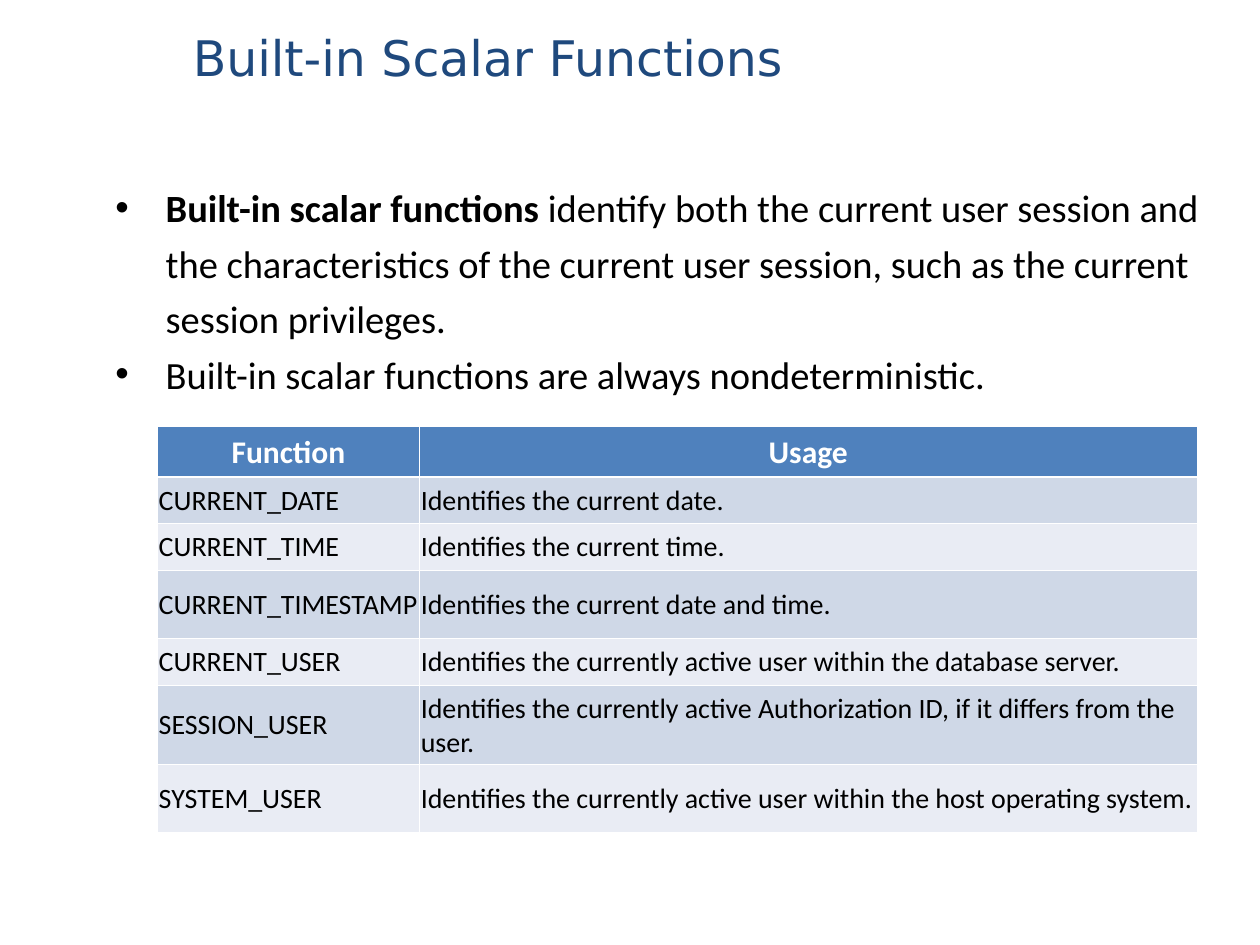
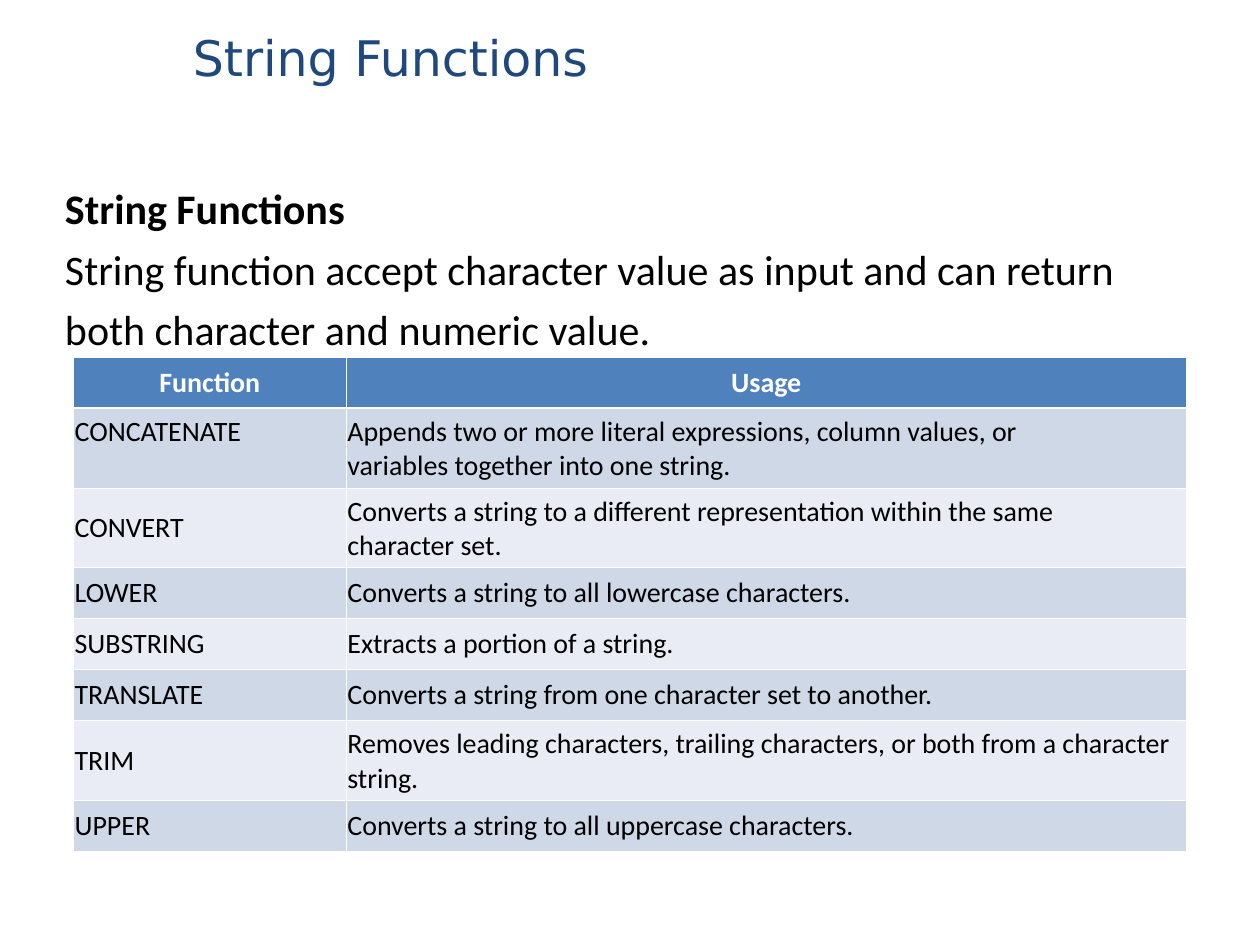
from lxml import etree
from pptx import Presentation
from pptx.dml.color import RGBColor
from pptx.enum.text import MSO_ANCHOR, PP_ALIGN
from pptx.oxml.ns import qn
from pptx.util import Inches, Pt

MIDDLE, TOP = MSO_ANCHOR.MIDDLE, MSO_ANCHOR.TOP
LEFT, CENTER = PP_ALIGN.LEFT, PP_ALIGN.CENTER

NAVY = RGBColor(0x1F, 0x49, 0x7D)
BLUE = RGBColor(0x4F, 0x81, 0xBD)
DARK_BAND = RGBColor(0xCF, 0xD8, 0xE7)
LIGHT_BAND = RGBColor(0xE9, 0xEC, 0xF4)
WHITE = RGBColor(0xFF, 0xFF, 0xFF)
BLACK = RGBColor(0x00, 0x00, 0x00)

TITLE_FONT, BODY_FONT = "DejaVu Sans", "Calibri"
GRID_COLUMNS, GRID_ROWS = 40, 30
TITLE_ONLY = 5
THIN, THICK = 0.45, 1.47

HEADINGS = ("Function", "Usage")

SCALAR_ROWS = [
    ("CURRENT_DATE", "Identifies the current date."),
    ("CURRENT_TIME", "Identifies the current time."),
    ("CURRENT_TIMESTAMP", "Identifies the current date and time."),
    ("CURRENT_USER", "Identifies the currently active user within the database server."),
    ("SESSION_USER", "Identifies the currently active Authorization ID, if it differs from the user."),
    ("SYSTEM_USER", "Identifies the currently active user within the host operating system."),
]

STRING_ROWS = [
    ("CONCATENATE", """Appends two or more literal expressions, column values, or
variables together into one string."""),
    ("CONVERT", """Converts a string to a different representation within the same
character set."""),
    ("LOWER", "Converts a string to all lowercase characters."),
    ("SUBSTRING", "Extracts a portion of a string."),
    ("TRANSLATE", "Converts a string from one character set to another."),
    ("TRIM", "Removes leading characters, trailing characters, or both from a character string."),
    ("UPPER", "Converts a string to all uppercase characters."),
]


class Deck:
    """Holds the shared style and the current slide; lengths are grid units."""

    def __init__(self):
        self.presentation = Presentation()
        self.presentation.slide_width = Inches(10)
        self.presentation.slide_height = Inches(7.5)
        self.slide = None

    def across(self, columns):
        return round(self.presentation.slide_width * columns / GRID_COLUMNS)

    def down(self, rows):
        return round(self.presentation.slide_height * rows / GRID_ROWS)

    def box(self, left, top, width, height):
        return self.across(left), self.down(top), self.across(width), self.down(height)

    def style(self, paragraph, size, color, bold=None, name=BODY_FONT):
        font = paragraph.font
        font.name, font.size, font.bold = name, Pt(size), bold
        font.color.rgb = color

    def add_slide(self, title):
        layout = self.presentation.slide_layouts[TITLE_ONLY]
        self.slide = self.presentation.slides.add_slide(layout)
        shape = self.slide.shapes.title
        shape.left, shape.top, shape.width, shape.height = self.box(5.72, -0.68, 36.28, 5)
        frame = shape.text_frame
        frame.text = title
        frame.vertical_anchor = MIDDLE
        paragraph = frame.paragraphs[0]
        paragraph.alignment = LEFT
        self.style(paragraph, 28, NAVY, False, TITLE_FONT)

    def add_body(self, area, paragraphs, size, bullets=False):
        """Add paragraphs, each a list of (text, bold) runs."""
        frame = self.slide.shapes.add_textbox(*self.box(*area)).text_frame
        frame.word_wrap = True
        for index, runs in enumerate(paragraphs):
            paragraph = frame.add_paragraph() if index else frame.paragraphs[0]
            if bullets:
                self.add_bullet(paragraph)
            paragraph.line_spacing = 1.2
            self.style(paragraph, size, BLACK)
            for text, bold in runs:
                run = paragraph.add_run()
                run.text = text
                run.font.bold = bold

    def add_bullet(self, paragraph):
        properties = paragraph._p.get_or_add_pPr()
        properties.set("marL", str(self.across(3.2)))
        properties.set("indent", str(self.across(-1.6)))
        etree.SubElement(properties, qn("a:buFont"), typeface="Arial")
        etree.SubElement(properties, qn("a:buChar"), char="•")

    def add_table(self, left, top, column_widths, row_heights, rows, heading_size):
        area = self.box(left, top, sum(column_widths), sum(row_heights))
        table = self.slide.shapes.add_table(len(row_heights), len(column_widths), *area).table
        table.horz_banding = False
        for column, width in zip(table.columns, column_widths):
            column.width = self.across(width)
        for row, height in zip(table.rows, row_heights):
            row.height = self.down(height)
        for row_index, texts in enumerate([HEADINGS, *rows]):
            for column_index, text in enumerate(texts):
                cell = table.cell(row_index, column_index)
                self.fill_cell(cell, text, row_index, heading_size)
        return table

    def fill_cell(self, cell, text, row_index, heading_size):
        heading = row_index == 0
        cell.margin_left = cell.margin_right = Inches(0.01)
        cell.margin_top = cell.margin_bottom = Inches(0.05)
        cell.vertical_anchor = MIDDLE
        cell.fill.solid()
        band = DARK_BAND if row_index % 2 else LIGHT_BAND
        cell.fill.fore_color.rgb = BLUE if heading else band
        paragraph = cell.text_frame.paragraphs[0]
        paragraph.text = text
        paragraph.alignment = CENTER if heading else LEFT
        self.style(paragraph, heading_size if heading else 16,
                   WHITE if heading else BLACK, heading)
        self.add_borders(cell, THICK if row_index == 1 else THIN, THICK if heading else THIN)

    def add_borders(self, cell, top, bottom):
        properties = cell._tc.get_or_add_tcPr()
        widths = {"a:lnL": THIN, "a:lnR": THIN, "a:lnT": top, "a:lnB": bottom}
        for index, (tag, width) in enumerate(widths.items()):
            line = etree.Element(qn(tag), w=str(Pt(width)))
            fill = etree.SubElement(line, qn("a:solidFill"))
            etree.SubElement(fill, qn("a:srgbClr"), val=str(WHITE))
            properties.insert(index, line)


def build_scalar_slide(deck):
    deck.add_slide("Built-in Scalar Functions")
    deck.add_body((1.67, 5.36, 38, 21.64), [
        [("Built-in scalar functions ", True),
         ("identify both the current user session and the characteristics of the "
          "current user session, such as the current session privileges.", False)],
        [("Built-in scalar functions are always nondeterministic.", False)],
    ], 22, bullets=True)
    low, high = 1.48, 2.16
    deck.add_table(5, 13.55, (8.32, 24.68),
                   (low, low, low, high, low, high, high), SCALAR_ROWS, 18)


def build_string_slide(deck):
    deck.add_slide("String Functions")
    deck.add_body((1.67, 5.28, 36.32, 11.92), [
        [("String Functions", True)],
        [("String function accept character value as input and can return "
          "both character and numeric value.", False)],
    ], 24)
    low, high = 1.62, 2.16
    table = deck.add_table(2.33, 11.34, (8.66, 26.67),
                           (low, high, high, low, low, low, high, low), STRING_ROWS, 16)
    table.cell(1, 0).vertical_anchor = TOP


def main():
    deck = Deck()
    build_scalar_slide(deck)
    build_string_slide(deck)
    deck.presentation.save("out.pptx")


if __name__ == "__main__":
    main()
